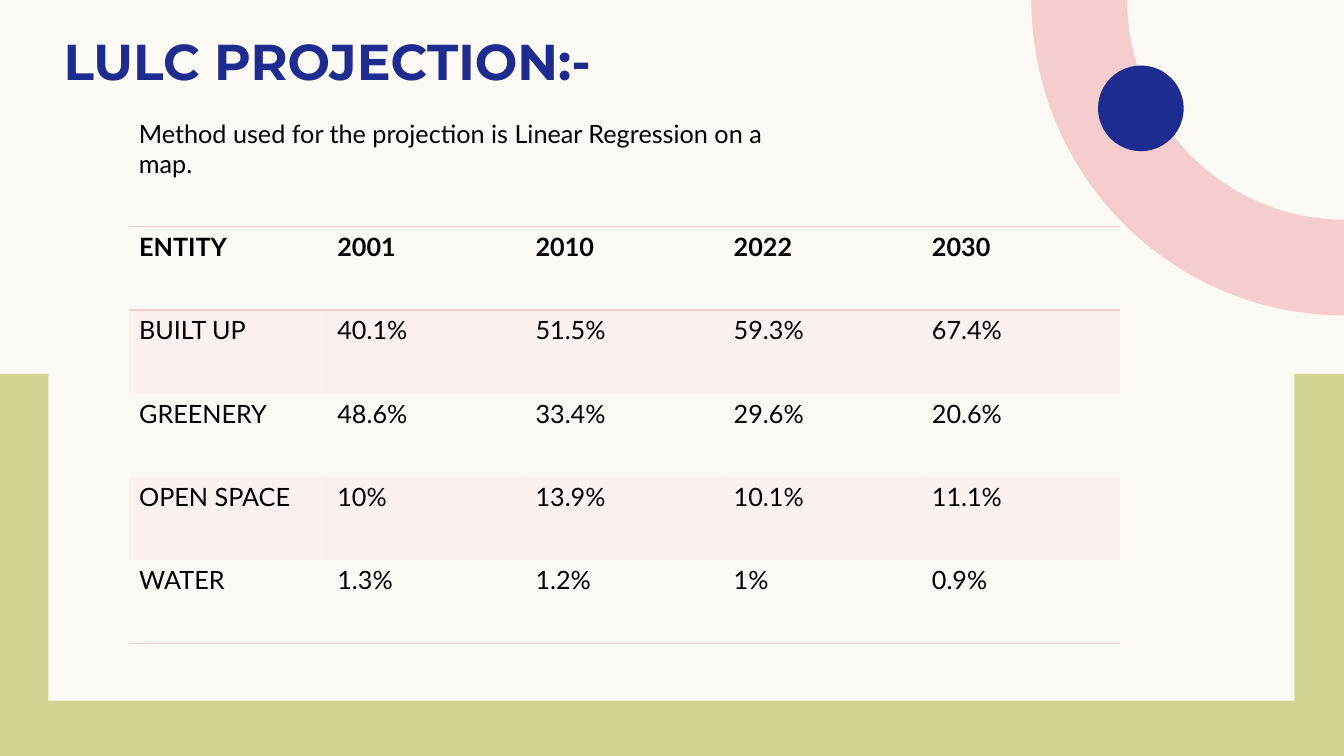
"""Builds the LULC projection slide with its table of land-use shares."""
from math import cos, pi, sin

from lxml.etree import SubElement
from pptx import Presentation
from pptx.dml.color import RGBColor
from pptx.enum.shapes import MSO_SHAPE
from pptx.enum.text import MSO_ANCHOR, MSO_AUTO_SIZE, PP_ALIGN
from pptx.oxml.ns import qn
from pptx.util import Inches, Pt

COLOURS = {
    "cream": "FDFAF6",
    "olive": "D2D592",
    "pink": "F5CDCE",
    "navy": "1F2C8F",
    "black": "000000",
}
NO_STYLE = "{2D5ABB26-0587-4C30-8999-92F81FD0307C}"
LAND_USE = [
    ["ENTITY", "2001", "2010", "2022", "2030"],
    ["BUILT UP", "40.1%", "51.5%", "59.3%", "67.4%"],
    ["GREENERY", "48.6%", "33.4%", "29.6%", "20.6%"],
    ["OPEN SPACE", "10%", "13.9%", "10.1%", "11.1%"],
    ["WATER", "1.3%", "1.2%", "1%", "0.9%"],
]


def rgb(colour):
    return RGBColor.from_string(COLOURS[colour])


def paint(shape, colour):
    shape.shadow.inherit = False
    shape.fill.solid()
    shape.fill.fore_color.rgb = rgb(colour)
    shape.line.fill.background()


def add_block(slide, kind, left, top, width, height, colour):
    block = slide.shapes.add_shape(
        kind, Inches(left), Inches(top), Inches(width), Inches(height))
    paint(block, colour)


def quarter_arc(centre_x, radius_x, radius_y, steps=60):
    """Points from the left end of the arc down to its lowest point."""
    angles = [pi - pi / 2 * step / steps for step in range(steps + 1)]
    return [(Inches(centre_x + radius_x * cos(angle)), Inches(radius_y * sin(angle)))
            for angle in angles]


def add_quarter_ring(slide, centre_x, outer, inner, colour):
    outline = quarter_arc(centre_x, *outer) + quarter_arc(centre_x, *inner)[::-1]
    builder = slide.shapes.build_freeform(*outline[0])
    builder.add_line_segments(outline[1:], close=True)
    paint(builder.convert_to_shape(), colour)


def set_font(paragraph, name, size, colour, bold=False):
    paragraph.font.name = name
    paragraph.font.size = Pt(size)
    paragraph.font.bold = bold
    paragraph.font.color.rgb = rgb(colour)


def add_title(slide, text):
    title = slide.shapes.title
    title.left, title.top = Inches(0.53), Inches(0)
    title.width, title.height = Inches(7.25), Inches(1.19)
    frame = title.text_frame
    frame.text = text
    frame.auto_size = MSO_AUTO_SIZE.NONE
    frame.vertical_anchor = MSO_ANCHOR.MIDDLE
    frame.margin_top = frame.margin_bottom = 0
    heading = frame.paragraphs[0]
    heading.alignment = PP_ALIGN.LEFT
    set_font(heading, "Montserrat", 36, "navy", bold=True)


def add_method(slide, text):
    method = slide.shapes.add_textbox(
        Inches(1.28), Inches(1.12), Inches(6.86), Inches(0.4))
    method.text_frame.word_wrap = True
    method.text_frame.text = text
    set_font(method.text_frame.paragraphs[0], "Lato", 18, "black")


def add_border(cell, side, colour):
    border = SubElement(cell._tc.get_or_add_tcPr(), qn(f"a:{side}"), w=str(Pt(1)))
    fill = SubElement(border, qn("a:solidFill"))
    SubElement(fill, qn("a:srgbClr"), val=COLOURS[colour])


def tint(cell, colour, percent):
    cell.fill.solid()
    cell.fill.fore_color.rgb = rgb(colour)
    shade = cell._tc.tcPr.find(qn("a:solidFill")).find(qn("a:srgbClr"))
    SubElement(shade, qn("a:alpha"), val=str(percent * 1000))


def add_land_use_table(slide, rows):
    table = slide.shapes.add_table(
        len(rows), len(rows[0]), Inches(1.28), Inches(2.25),
        Inches(9.83), Inches(4.13)).table
    table._tbl.tblPr.find(qn("a:tableStyleId")).text = NO_STYLE
    table.horz_banding = False
    for row_index, row in enumerate(rows):
        is_header = row_index == 0
        for column_index, value in enumerate(row):
            cell = table.cell(row_index, column_index)
            cell.text = value
            set_font(cell.text_frame.paragraphs[0], "Lato", 18, "black", is_header)
            if is_header:
                add_border(cell, "lnT", "pink")
            if is_header or row_index == len(rows) - 1:
                add_border(cell, "lnB", "pink")
            if row_index % 2:
                tint(cell, "pink", 20)
            else:
                cell.fill.background()


def main():
    presentation = Presentation()
    presentation.slide_width = Inches(13.33)
    presentation.slide_height = Inches(7.5)
    slide = presentation.slides.add_slide(presentation.slide_layouts[5])
    slide.background.fill.solid()
    slide.background.fill.fore_color.rgb = rgb("cream")

    add_block(slide, MSO_SHAPE.RECTANGLE, -0.03, 3.71, 13.36, 3.79, "olive")
    add_block(slide, MSO_SHAPE.RECTANGLE, 0.48, 0.36, 12.36, 6.59, "cream")
    add_quarter_ring(slide, 13.33, (3.1, 3.13), (2.15, 2.18), "pink")
    add_block(slide, MSO_SHAPE.OVAL, 10.89, 0.65, 0.85, 0.85, "navy")

    title_element = slide.shapes.title._element
    title_element.getparent().append(title_element)
    add_title(slide, "LULC PROJECTION:-")
    add_land_use_table(slide, LAND_USE)
    add_method(slide, "Method used for the projection is Linear Regression on a map.")
    presentation.save("out.pptx")


if __name__ == "__main__":
    main()
